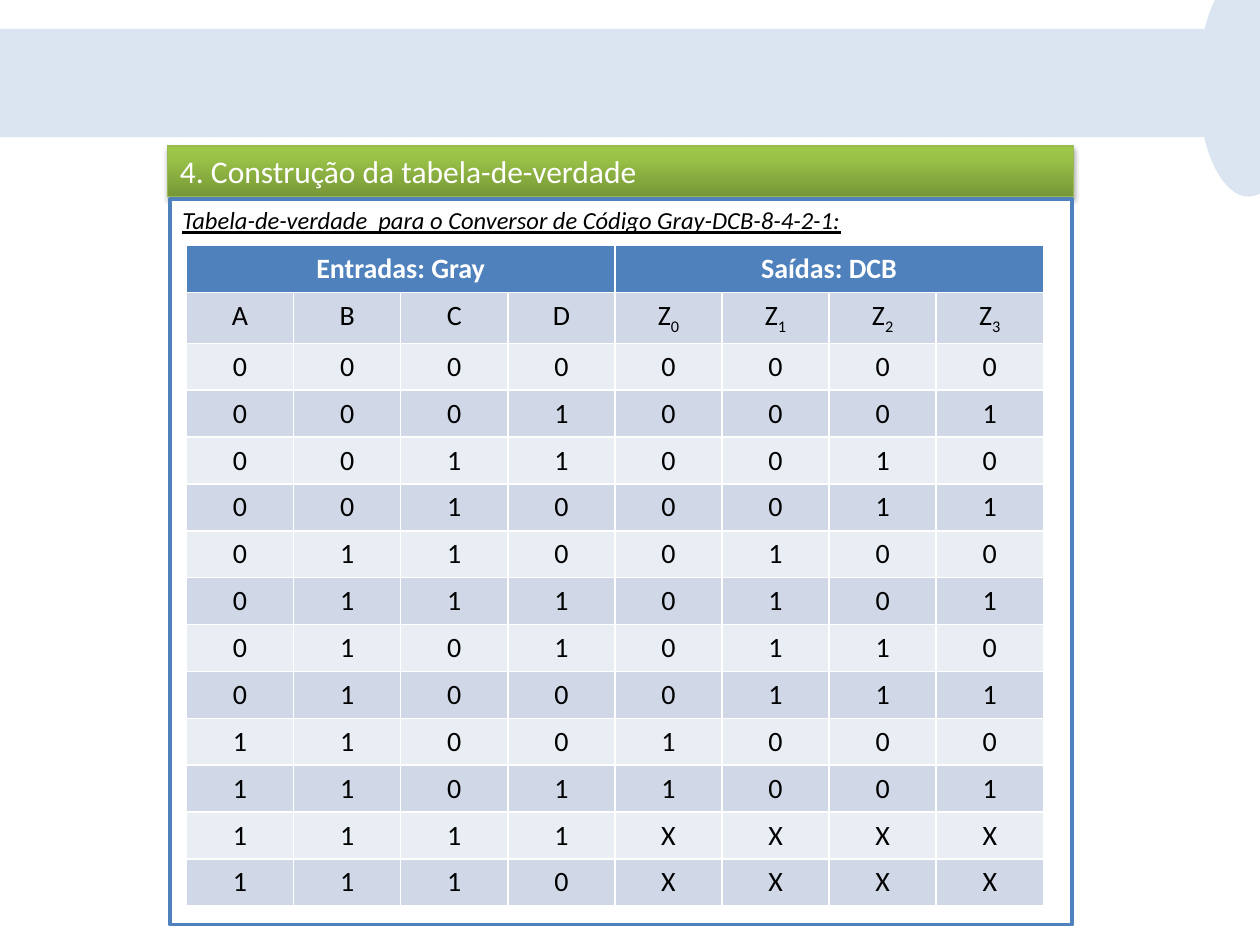
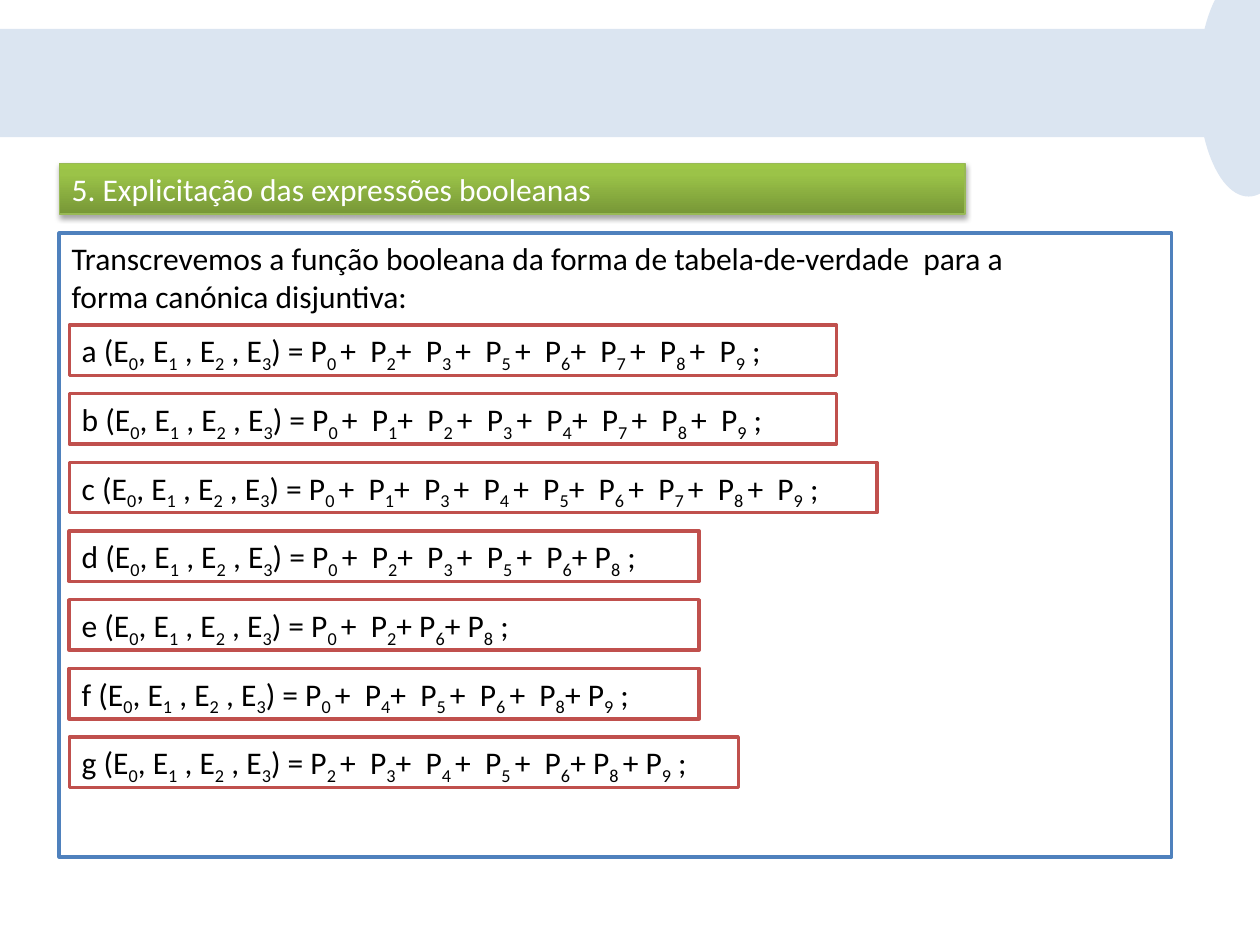
"""Build two slides on a Gray to DCB converter: its truth table and its Boolean expressions."""
from dataclasses import dataclass
from itertools import groupby

from lxml.etree import SubElement
from pptx import Presentation
from pptx.dml.color import RGBColor
from pptx.enum.shapes import MSO_SHAPE as Preset
from pptx.enum.text import MSO_ANCHOR as Anchor, PP_ALIGN as Align
from pptx.oxml.ns import qn
from pptx.util import Emu, Inches, Pt

TABLE_TITLE = "4. Construção da tabela-de-verdade"
TABLE_CAPTION = "Tabela-de-verdade  para o Conversor de Código Gray-DCB-8-4-2-1:"
TABLE_GROUPS = ["Entradas: Gray", "Saídas: DCB"]
TABLE_COLUMNS = ["A", "B", "C", "D", "Z0", "Z1", "Z2", "Z3"]
TRUTH_ROWS = [
    "00000000", "00010001", "00110010", "00100011",
    "01100100", "01110101", "01010110", "01000111",
    "11001000", "11011001", "1111XXXX", "1110XXXX",
]

EXPRESSIONS_TITLE = "5. Explicitação das expressões booleanas"
EXPRESSIONS_INTRO = [
    "Transcrevemos a função booleana da forma de tabela-de-verdade  para a",
    "forma canónica disjuntiva:",
]
INPUTS = "(E0, E1 , E2 , E3)"
EXPRESSIONS = [
    ("a", "P0 +  P2+  P3 +  P5 +  P6+  P7 +  P8 +  P9", 6.09),
    ("b", "P0 +  P1+  P2 +  P3 +  P4+  P7 +  P8 +  P9", 6.09),
    ("c", "P0 +  P1+  P3 +  P4 +  P5+  P6 +  P7 +  P8 +  P9", 6.41),
    ("d", "P0 +  P2+  P3 +  P5 +  P6+ P8", 5),
    ("e", "P0 +  P2+ P6+ P8", 5),
    ("f", "P0 +  P4+  P5 +  P6 +  P8+ P9", 5),
    ("g", "P2 +  P3+  P4 +  P5 +  P6+ P8 + P9", 5.31),
]

SLIDE_SIZE = (10, 7.5)
BAND = (0, 0.23, 9.69, 0.86)
BAND_END = (9.51, -0.23, 0.8, 1.79)
BAR_SIZE = (7.19, 0.4)
TABLE_BOX = (1.48, 1.95, 6.8, 5.13)
FIRST_EXPRESSION, LAST_EXPRESSION = 2.58, 5.85
EXPRESSION_LEFT, EXPRESSION_HEIGHT = 0.55, 0.4


@dataclass(frozen=True)
class Theme:
    """Colours and type sizes."""
    font: str = "Calibri"
    body: int = 18
    caption: int = 14
    cell: int = 16
    black: str = "000000"
    white: str = "FFFFFF"
    band: str = "DBE5F1"
    blue: str = "4F81BD"
    red: str = "C0504D"
    bar_line: str = "98B955"
    bar_stops: tuple = ((0, "779737"), (80, "9BC348"), (100, "9DC746"))
    rows: tuple = ("D0D8E8", "E9EDF4")


THEME = Theme()


def color(code):
    return RGBColor.from_string(code)


def add_box(slide, box, fill=THEME.white, line=None, width=2, preset=Preset.RECTANGLE):
    shape = slide.shapes.add_shape(preset, *map(Inches, box))
    shape.shadow.inherit = False
    shape.fill.solid()
    shape.fill.fore_color.rgb = color(fill)
    if line:
        shape.line.color.rgb = color(line)
        shape.line.width = Pt(width)
    else:
        shape.line.fill.background()
    shape.text_frame.vertical_anchor = Anchor.TOP
    shape.text_frame.word_wrap = True
    return shape


def format_runs(paragraph, size=THEME.body, ink=THEME.black, align=Align.LEFT, bold=False):
    paragraph.alignment = align
    for run in paragraph.runs:
        run.font.name = THEME.font
        run.font.size = Pt(size)
        run.font.bold = bold
        run.font.color.rgb = color(ink)


def hang(paragraph):
    properties = paragraph._p.get_or_add_pPr()
    properties.set("marL", str(Inches(0.38)))
    properties.set("indent", str(Inches(-0.38)))


def write_formula(paragraph, text):
    """Write text with its digits, and any space before a plus, as subscripts."""
    def is_subscript(index):
        return text[index].isdigit() or text[index:index + 2] == " +"

    for lowered, indexes in groupby(range(len(text)), is_subscript):
        run = paragraph.add_run()
        run.text = "".join(text[index] for index in indexes)
        if lowered:
            run.font._element.set("baseline", "-25000")


def add_title_bar(slide, title, left, top):
    bar = add_box(slide, (left, top, *BAR_SIZE), line=THEME.bar_line, width=0.75)
    bar.fill.gradient()
    bar.fill.gradient_angle = 90
    properties = bar._element.spPr
    stops = properties.find(".//" + qn("a:gsLst"))
    stops.clear()
    for position, code in THEME.bar_stops:
        stop = SubElement(stops, qn("a:gs"), pos=str(position * 1000))
        SubElement(stop, qn("a:srgbClr"), val=code)
    shadow = SubElement(properties.find(qn("a:effectLst")), qn("a:outerShdw"),
                        blurRad=str(Pt(3.1)), dist=str(Pt(1.8)), dir="5400000", rotWithShape="0")
    shade = SubElement(shadow, qn("a:srgbClr"), val=THEME.black)
    SubElement(shade, qn("a:alpha"), val="35000")
    bar.text_frame.text = title
    hang(bar.text_frame.paragraphs[0])
    format_runs(bar.text_frame.paragraphs[0], ink=THEME.white)


def add_panel(slide, box, lines, size, align=Align.LEFT):
    panel = add_box(slide, box, line=THEME.blue)
    panel.text_frame.text = "\n".join(lines)
    for paragraph in panel.text_frame.paragraphs:
        hang(paragraph)
        format_runs(paragraph, size, align=align)
    return panel


def add_slide(presentation):
    slide = presentation.slides.add_slide(presentation.slide_layouts[6])
    add_box(slide, BAND, THEME.band)
    add_box(slide, BAND_END, THEME.band, preset=Preset.OVAL)
    return slide


def fill_cell(cell, text, fill, subscript=False, **style):
    cell.fill.solid()
    cell.fill.fore_color.rgb = color(fill)
    paragraph = cell.text_frame.paragraphs[0]
    if subscript:
        write_formula(paragraph, text)
    else:
        paragraph.text = text
    format_runs(paragraph, THEME.cell, align=Align.CENTER, **style)


def add_truth_table(slide):
    row_count, column_count = len(TRUTH_ROWS) + 2, len(TABLE_COLUMNS)
    table = slide.shapes.add_table(row_count, column_count, *map(Inches, TABLE_BOX)).table
    for row in table.rows:
        row.height = Emu(Inches(TABLE_BOX[3]) // row_count)
    span = column_count // len(TABLE_GROUPS)
    for group, label in enumerate(TABLE_GROUPS):
        first = table.cell(0, group * span)
        first.merge(table.cell(0, (group + 1) * span - 1))
        fill_cell(first, label, THEME.blue, ink=THEME.white, bold=True)
    for row, values in enumerate([TABLE_COLUMNS, *TRUTH_ROWS]):
        for column, value in enumerate(values):
            fill_cell(table.cell(row + 1, column), value, THEME.rows[row % 2], subscript=row == 0)


def build_table_slide(presentation):
    slide = add_slide(presentation)
    add_title_bar(slide, TABLE_TITLE, 1.33, 1.16)
    panel = add_panel(slide, (1.35, 1.58, 7.16, 5.76), [TABLE_CAPTION], THEME.caption)
    caption = panel.text_frame.paragraphs[0].runs[0]
    caption.font.italic = caption.font.underline = True
    add_truth_table(slide)


def build_expressions_slide(presentation):
    slide = add_slide(presentation)
    add_title_bar(slide, EXPRESSIONS_TITLE, 0.47, 1.3)
    add_panel(slide, (0.47, 1.85, 8.83, 4.95), EXPRESSIONS_INTRO, THEME.body, Align.JUSTIFY)
    pitch = (LAST_EXPRESSION - FIRST_EXPRESSION) / (len(EXPRESSIONS) - 1)
    for index, (name, terms, width) in enumerate(EXPRESSIONS):
        top = FIRST_EXPRESSION + index * pitch
        box = add_box(slide, (EXPRESSION_LEFT, top, width, EXPRESSION_HEIGHT), line=THEME.red)
        paragraph = box.text_frame.paragraphs[0]
        write_formula(paragraph, f"{name} {INPUTS} = {terms} ;")
        format_runs(paragraph)


def main():
    presentation = Presentation()
    presentation.slide_width, presentation.slide_height = map(Inches, SLIDE_SIZE)
    build_table_slide(presentation)
    build_expressions_slide(presentation)
    presentation.save("out.pptx")


if __name__ == "__main__":
    main()
